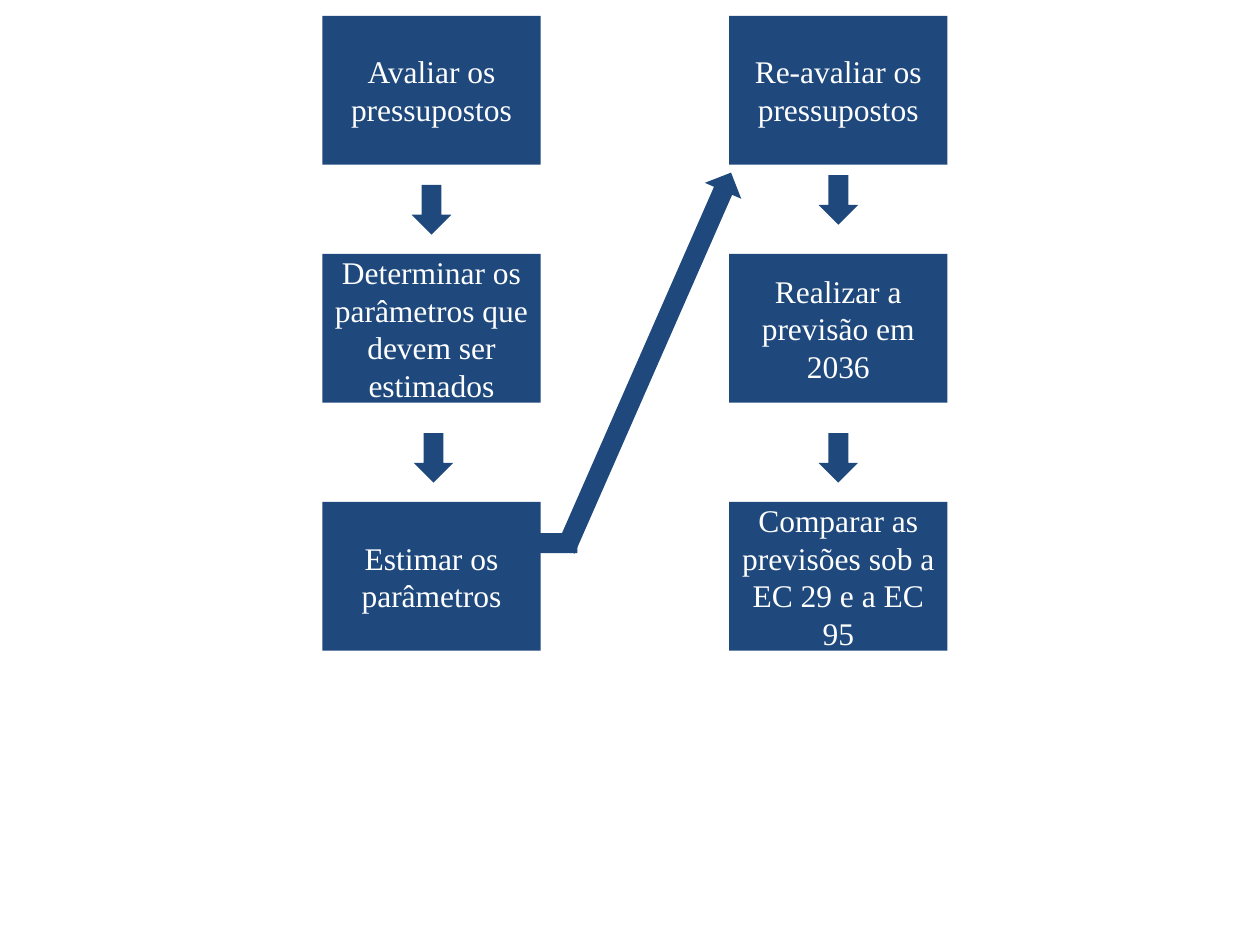
from pptx import Presentation
from pptx.dml.color import RGBColor
from pptx.enum.shapes import MSO_SHAPE
from pptx.enum.text import MSO_ANCHOR, PP_ALIGN
from pptx.util import Cm, Pt

NAVY = RGBColor(0x1F, 0x49, 0x7D)
WHITE = RGBColor(0xFF, 0xFF, 0xFF)
FONT = "Times New Roman"

BOX_WIDTH, BOX_HEIGHT = 4.4, 3
ROW_TOPS = (0.32, 5.12, 10.12)
COLUMNS = (
    (6.5, ("Avaliar os pressupostos",
           "Determinar os parâmetros que devem ser estimados",
           "Estimar os parâmetros")),
    (14.7, ("Re-avaliar os pressupostos",
            "Realizar a previsão em 2036",
            "Comparar as previsões sob a EC 29 e a EC 95")),
)
DOWN_ARROW_CENTRES = ((8.7, 4.23), (8.74, 9.23), (16.9, 4.03), (16.9, 9.23))
ARROW_LENGTH, ARROW_WIDTH = 1, 0.8


def add_solid(shapes, kind, left, top, width, height):
    shape = shapes.add_shape(kind, Cm(left), Cm(top), Cm(width), Cm(height))
    shape.shadow.inherit = False
    shape.fill.solid()
    shape.fill.fore_color.rgb = NAVY
    shape.line.fill.background()
    return shape


def add_step(shapes, left, top, text):
    shape = add_solid(shapes, MSO_SHAPE.RECTANGLE, left, top, BOX_WIDTH, BOX_HEIGHT)
    text_frame = shape.text_frame
    text_frame.text = text
    text_frame.word_wrap = True
    text_frame.vertical_anchor = MSO_ANCHOR.MIDDLE
    paragraph = text_frame.paragraphs[0]
    paragraph.alignment = PP_ALIGN.CENTER
    font = paragraph.runs[0].font
    font.name = FONT
    font.size = Pt(18)
    font.color.rgb = WHITE


def add_arrow(shapes, centre_x, centre_y, length, rotation):
    arrow = add_solid(shapes, MSO_SHAPE.RIGHT_ARROW, centre_x - length / 2,
                      centre_y - ARROW_WIDTH / 2, length, ARROW_WIDTH)
    arrow.rotation = rotation


def main():
    presentation = Presentation()
    presentation.slide_width = Cm(25.4)
    presentation.slide_height = Cm(19.05)
    slide = presentation.slides.add_slide(presentation.slide_layouts[6])
    shapes = slide.shapes.add_group_shape().shapes

    for left, steps in COLUMNS:
        for top, text in zip(ROW_TOPS, steps):
            add_step(shapes, left, top, text)
    for centre_x, centre_y in DOWN_ARROW_CENTRES:
        add_arrow(shapes, centre_x, centre_y, ARROW_LENGTH, 90)
    add_arrow(shapes, 13.07, 7.28, 8.3, 293.7)
    add_solid(shapes, MSO_SHAPE.RECTANGLE, 10.44, 10.75, 1.2, 0.4)

    presentation.save("out.pptx")


main()
